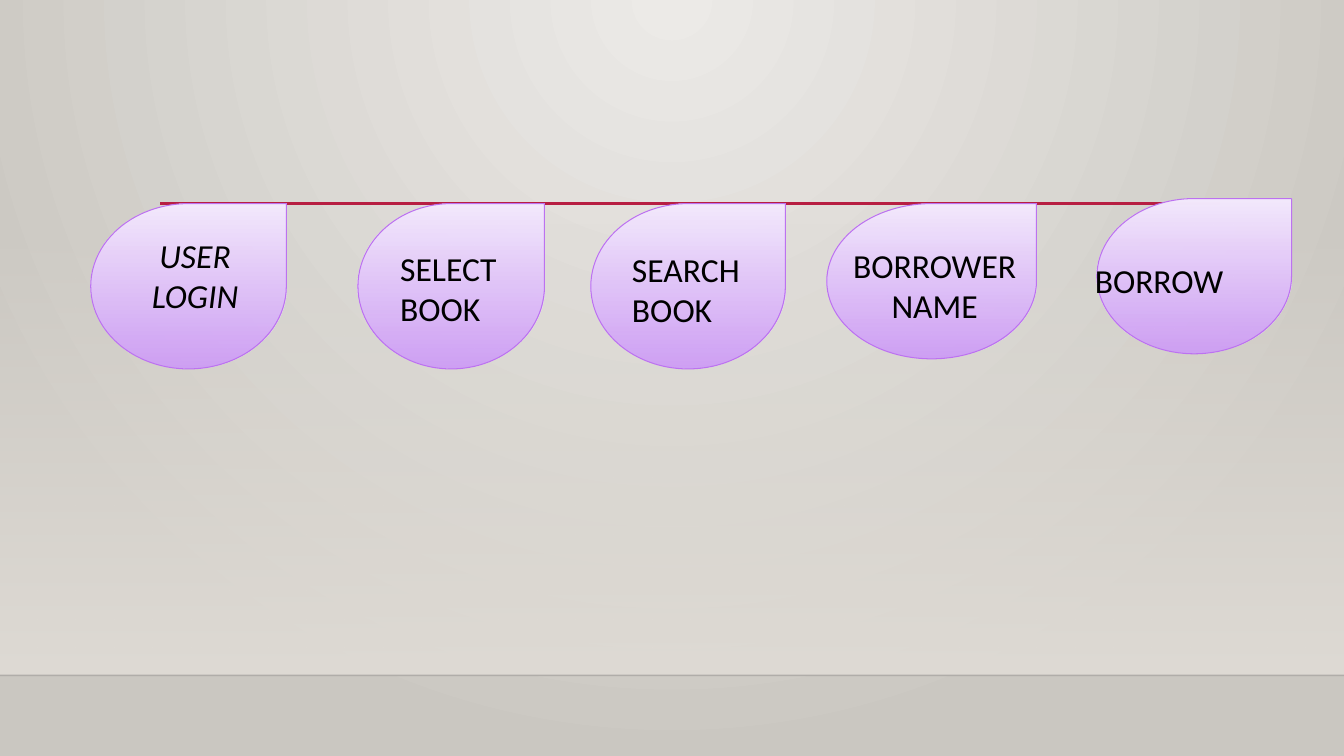
"""Build a slide showing the five steps of borrowing a library book along a line."""
import pptx
import pptx.util
import pptx.oxml
import pptx.oxml.ns
import pptx.dml.color
import pptx.enum.shapes
import pptx.enum.text

Inches = pptx.util.Inches
Align = pptx.enum.text.PP_ALIGN
Kind = pptx.enum.shapes.MSO_SHAPE

WIDE, HIGH = 13.33, 7.5
FLOOR = 6.7
RAIL = (1.59, 2.02, 12.1, 2.02)

STEPS = [
    dict(text="USER LOGIN", drop=(0.9, 2.02, 1.94, 1.64),
         box=(1.16, 2.28, 1.55, 0.91), align=Align.CENTER, italic=True),
    dict(text="SELECT BOOK", drop=(3.55, 2.02, 1.85, 1.64),
         box=(3.87, 2.41, 1.8, 0.91)),
    dict(text="SEARCH BOOK", drop=(5.86, 2.02, 1.93, 1.64),
         box=(6.17, 2.42, 1.54, 0.91)),
    dict(text="BORROWER NAME", drop=(8.2, 2.02, 2.08, 1.54),
         box=(8.26, 2.38, 2.02, 0.91), align=Align.CENTER),
    dict(text="BORROW", drop=(10.88, 1.97, 1.93, 1.54),
         box=(10.76, 2.53, 1.67, 0.5)),
]

THEME = dict(
    font="Calibri", size=24, ink="000000",
    back=[("ECEAE7", 100), ("CAC7C1", 100)],
    wall=[("DFDBD5", 0), ("DFDBD5", 100)],
    drop=[("F4EAFD", 100), ("CE9CF7", 92)],
    edge="BC72F0", rail="B71E42", floor="000001",
)

DOWN = '<a:lin ang="5400000" scaled="0"/>'
ROUND = ('<a:path path="circle">'
         '<a:fillToRect l="43000" t="0" r="43000" b="100000"/></a:path>')


def color(code):
    """Turn a hex code into a colour."""
    return pptx.dml.color.RGBColor.from_string(code)


def node(tag, inner="", attrs=""):
    """Make a drawing element from its tag, content and attributes."""
    space = pptx.oxml.ns.nsdecls("a")
    return pptx.oxml.parse_xml(f"<a:{tag} {space} {attrs}>{inner}</a:{tag}>")


def blend(fill, owner, stops, way=DOWN):
    """Give the owner of a fill a two-stop gradient."""
    fill.solid()
    marks = "".join(
        f'<a:gs pos="{i * 100000}"><a:srgbClr val="{code}">'
        f'<a:alpha val="{alpha * 1000}"/></a:srgbClr></a:gs>'
        for i, (code, alpha) in enumerate(stops))
    old = owner.find(pptx.oxml.ns.qn("a:solidFill"))
    owner.replace(old, node("gradFill", f"<a:gsLst>{marks}</a:gsLst>{way}",
                            'rotWithShape="1"'))


def add_form(slide, kind, place, stops, edge=None):
    """Add a preset shape with a gradient and an optional outline."""
    form = slide.shapes.add_shape(kind, *map(Inches, place))
    form.shadow.inherit = False
    blend(form.fill, form._element.spPr, stops)
    if edge:
        form.line.color.rgb = color(edge)
        form.line.width = pptx.util.Pt(0.75)
    else:
        form.line.fill.background()


def add_line(slide, ends, code, width, alpha=100):
    """Add a straight line without a shadow."""
    line = slide.shapes.add_connector(
        pptx.enum.shapes.MSO_CONNECTOR.STRAIGHT, *map(Inches, ends))
    line.line.color.rgb = color(code)
    line.line.width = pptx.util.Pt(width)
    props = line._element.spPr
    tint = props.find(".//" + pptx.oxml.ns.qn("a:srgbClr"))
    tint.append(node("alpha", attrs=f'val="{alpha * 1000}"'))
    props.append(node("effectLst"))


def add_text(slide, text, place, align=Align.LEFT, italic=False):
    """Add a wrapped text box."""
    frame = slide.shapes.add_textbox(*map(Inches, place)).text_frame
    frame.word_wrap = True
    frame.auto_size = pptx.enum.text.MSO_AUTO_SIZE.SHAPE_TO_FIT_TEXT
    para = frame.paragraphs[0]
    para.alignment = align
    run = para.add_run()
    run.text = text
    run.font.name = THEME["font"]
    run.font.size = pptx.util.Pt(THEME["size"])
    run.font.color.rgb = color(THEME["ink"])
    run.font.italic = italic


def main():
    """Draw the backdrop, the rail and the steps, then save."""
    deck = pptx.Presentation()
    deck.slide_width, deck.slide_height = Inches(WIDE), Inches(HIGH)
    slide = deck.slides.add_slide(deck.slide_layouts[6])
    fill = slide.background.fill
    fill.solid()
    owner = slide.element.find(".//" + pptx.oxml.ns.qn("p:bgPr"))
    blend(fill, owner, THEME["back"], ROUND)
    add_form(slide, Kind.RECTANGLE, (0, 2.21, WIDE, FLOOR - 2.21), THEME["wall"])
    add_line(slide, (0, FLOOR, WIDE, FLOOR), THEME["floor"], 1, alpha=20)
    add_line(slide, RAIL, THEME["rail"], 2.5)
    for step in STEPS:
        add_form(slide, Kind.TEAR, step["drop"], THEME["drop"], THEME["edge"])
    for step in STEPS:
        add_text(slide, step["text"], step["box"],
                 align=step.get("align", Align.LEFT),
                 italic=step.get("italic", False))
    deck.save("out.pptx")


if __name__ == "__main__":
    main()
